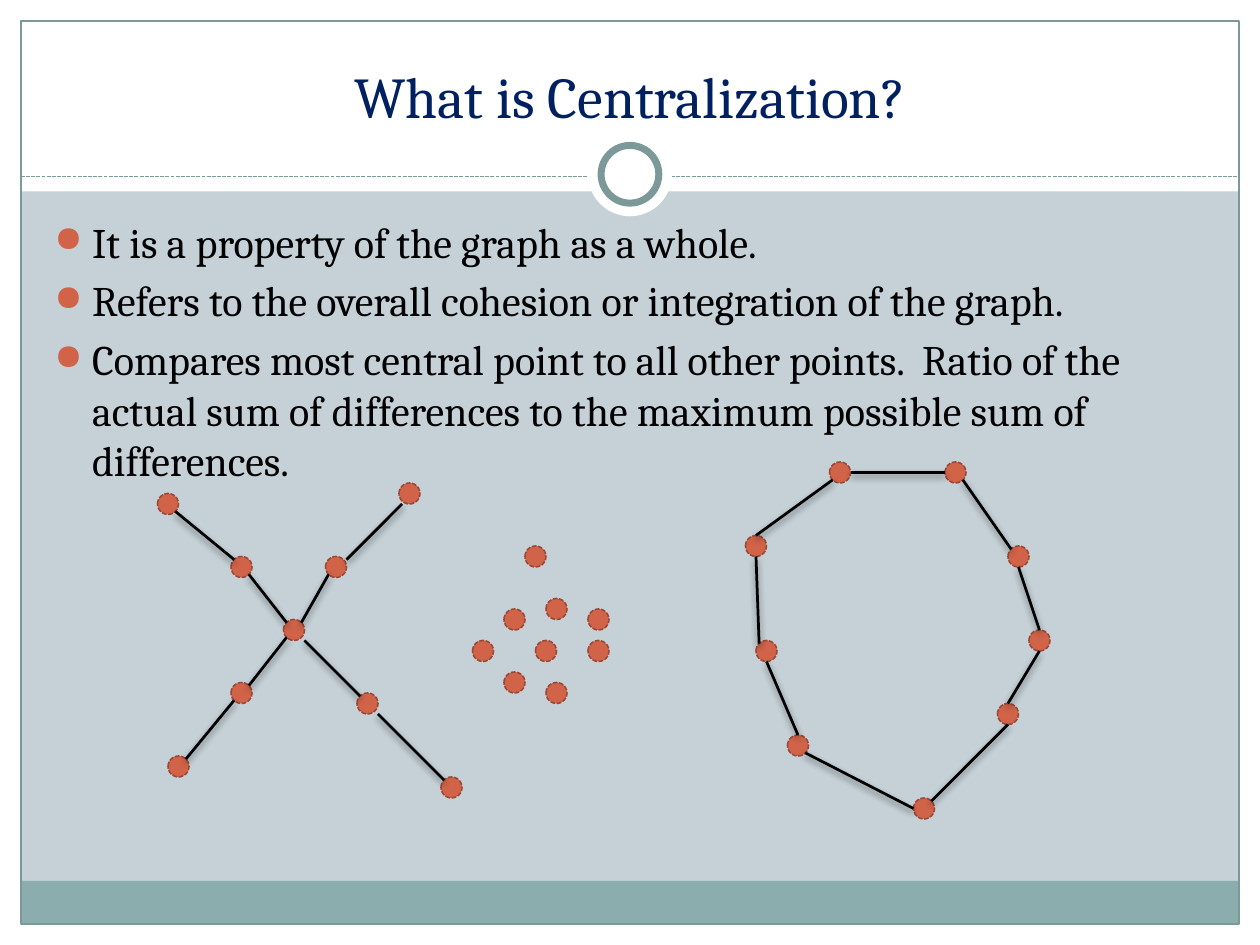
from typing import NamedTuple, Optional

from lxml.etree import SubElement
from pptx import Presentation
from pptx.dml.color import RGBColor
from pptx.enum.dml import MSO_LINE_DASH_STYLE as Dash
from pptx.enum.shapes import MSO_CONNECTOR as Connector, MSO_SHAPE as Preset
from pptx.enum.text import MSO_ANCHOR as Anchor, PP_ALIGN as Align
from pptx.oxml.ns import qn
from pptx.util import Cm, Pt

WHITE, BLACK, NAVY = "FFFFFF", "000000", "002060"
MIST, TEAL, SLATE = "C5D1D7", "8CADAE", "7C999A"
CORAL, RUST = "D16349", "9B4936"
FONT = "Cambria"
COLUMNS, ROWS = 120, 90
NODE_SIZE = 2


class Stroke(NamedTuple):
    color: str
    width: float
    dash: Optional[Dash] = None


class Panel(NamedTuple):
    left: float
    top: float
    width: float
    height: float
    fill: Optional[str] = WHITE
    stroke: Optional[Stroke] = None
    preset: Preset = Preset.RECTANGLE


class Edge(NamedTuple):
    x1: float
    y1: float
    x2: float
    y2: float


class Graph(NamedTuple):
    centers: list[tuple[int, int]]
    edges: list[Edge]


RULE = Stroke(SLATE, 0.75, Dash.SQUARE_DOT)
EDGE_STROKE = Stroke(BLACK, 1.57)
NODE_STROKE = Stroke(RUST, 0.9, Dash.SQUARE_DOT)

FRAME = [
    Panel(0, 88, COLUMNS, 2),
    Panel(0, 0, COLUMNS, 18.24),
    Panel(0, 0, 2, ROWS),
    Panel(118, 0, 2, ROWS),
    Panel(2, 83.9, 116, 4.1, TEAL),
    Panel(2, 2, 116, 86, None, Stroke(SLATE, 0.75)),
]
MEDALLION = [
    Panel(56, 12.6, 8, 8, preset=Preset.OVAL),
    Panel(57.25, 13.85, 5.5, 5.5, WHITE, Stroke(SLATE, 4), Preset.OVAL),
]

STAR = Graph(
    [(28, 60), (32, 54), (23, 54), (23, 66), (35, 67),
     (39, 47), (16, 48), (17, 73), (43, 75)],
    [
        Edge(16.7, 48.7, 22.3, 53.3),
        Edge(38.3, 48, 33, 53.3),
        Edge(23.7, 54.7, 27.3, 59.3),
        Edge(31.3, 54.7, 28.7, 59.3),
        Edge(29, 61, 34.3, 66.3),
        Edge(27.3, 60.7, 23.7, 65.3),
        Edge(36, 68, 42.3, 74.3),
        Edge(22.3, 66.7, 17.7, 72.3),
    ],
)
RING = Graph(
    [(80, 45), (72, 52), (91, 45), (73, 62), (97, 53),
     (76, 71), (88, 77), (96, 68), (99, 61)],
    [
        Edge(81, 45, 90, 45),
        Edge(72, 51, 79.3, 45.7),
        Edge(72, 53, 72.3, 61.3),
        Edge(73, 63, 76, 70),
        Edge(76.7, 71.7, 87, 77),
        Edge(91.7, 45.7, 96.3, 52.3),
        Edge(97, 54, 99, 60),
        Edge(99, 62, 96, 67),
        Edge(96, 69, 88.7, 76.3),
    ],
)
ISOLATES = Graph(
    [(49, 65), (53, 58), (46, 62), (57, 59), (49, 59),
     (52, 62), (53, 66), (57, 62), (51, 53)],
    [],
)

POINTS = [
    "It is a property of the graph as a whole.",
    "Refers to the overall cohesion or integration of the graph.",
    "Compares most central point to all other points.  Ratio of the actual "
    "sum of differences to the maximum possible sum of differences.",
]


def grid(units: float) -> Cm:
    return Cm(units * 25.4 / COLUMNS)


def paint(target, color: str) -> None:
    target.solid()
    target.fore_color.rgb = RGBColor.from_string(color)


def apply_stroke(line, stroke: Stroke) -> None:
    paint(line.fill, stroke.color)
    line.width = Pt(stroke.width)
    if stroke.dash:
        line.dash_style = stroke.dash


def draw_panel(page, panel: Panel) -> None:
    shape = page.shapes.add_shape(panel.preset, *map(grid, panel[:4]))
    shape.shadow.inherit = False
    if panel.fill:
        paint(shape.fill, panel.fill)
    else:
        shape.fill.background()
    if panel.stroke:
        apply_stroke(shape.line, panel.stroke)
    else:
        shape.line.fill.background()


def draw_edge(page, edge: Edge, stroke: Stroke, shaded: bool) -> None:
    line = page.shapes.add_connector(Connector.STRAIGHT, *map(grid, edge))
    apply_stroke(line.line, stroke)
    effects = SubElement(line._element.spPr, qn("a:effectLst"))
    if shaded:
        shadow = SubElement(effects, qn("a:outerShdw"), blurRad=str(Pt(4)),
                            dist=str(Pt(2)), dir="5400000", rotWithShape="0")
        color = SubElement(shadow, qn("a:srgbClr"), val=BLACK)
        SubElement(color, qn("a:alpha"), val="45000")


def draw_graph(page, graph: Graph) -> None:
    for x, y in graph.centers:
        draw_panel(page, Panel(x - NODE_SIZE / 2, y - NODE_SIZE / 2, NODE_SIZE,
                               NODE_SIZE, CORAL, NODE_STROKE, Preset.OVAL))
    for edge in graph.edges:
        draw_edge(page, edge, EDGE_STROKE, shaded=True)


def add_bullet(para) -> None:
    props = para._p.get_or_add_pPr()
    props.set("marL", str(Cm(0.76)))
    props.set("indent", str(-Cm(0.76)))
    color = SubElement(props, qn("a:buClr"))
    SubElement(color, qn("a:srgbClr"), val=CORAL)
    SubElement(props, qn("a:buSzPct"), val="85000")
    SubElement(props, qn("a:buChar"), char="●")


def draw_text(page, area: tuple, lines: list[str], size: float, color: str,
              anchor: Anchor, align: Align, bulleted: bool) -> None:
    frame = page.shapes.add_textbox(*map(grid, area)).text_frame
    frame.word_wrap = True
    frame.vertical_anchor = anchor
    frame.text = "\n".join(lines)
    for para in frame.paragraphs:
        para.alignment = align
        para.font.name = FONT
        para.font.size = Pt(size)
        para.font.color.rgb = RGBColor.from_string(color)
        if bulleted:
            para.space_before = Pt(size * 0.2)
            add_bullet(para)


def main() -> None:
    deck = Presentation()
    deck.slide_width, deck.slide_height = grid(COLUMNS), grid(ROWS)
    page = deck.slides.add_slide(deck.slide_layouts[6])
    paint(page.background.fill, MIST)
    for panel in FRAME:
        draw_panel(page, panel)
    draw_edge(page, Edge(2, 16.8, 118, 16.8), RULE, shaded=False)
    for panel in MEDALLION:
        draw_panel(page, panel)
    draw_text(page, (4, 3, 112, 10), ["What is Centralization?"], 33, NAVY,
              Anchor.BOTTOM, Align.CENTER, bulleted=False)
    draw_text(page, (4, 20, 111.6, 60), POINTS, 24, BLACK,
              Anchor.TOP, Align.LEFT, bulleted=True)
    for graph in (STAR, RING, ISOLATES):
        draw_graph(page, graph)
    deck.save("out.pptx")


if __name__ == "__main__":
    main()
